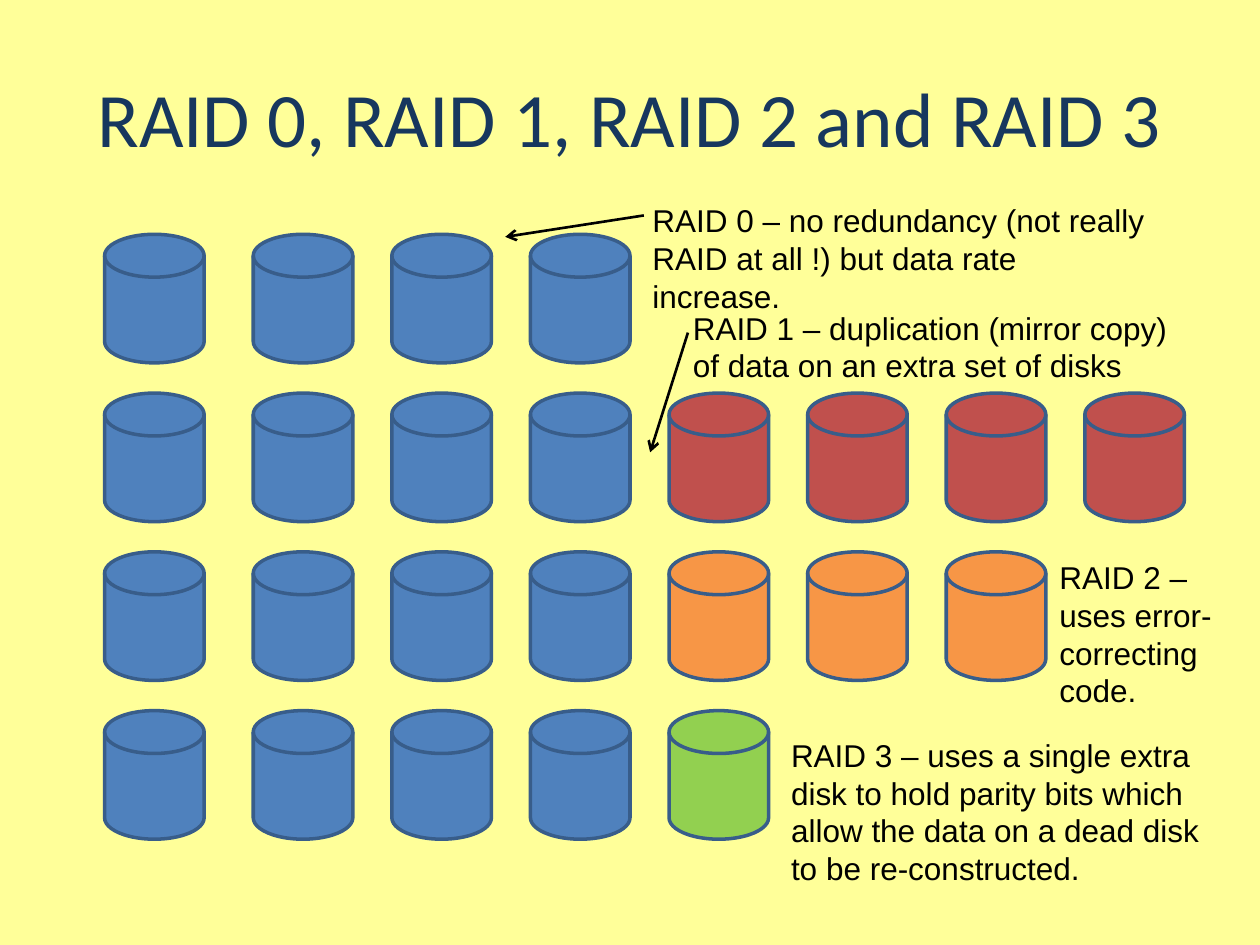
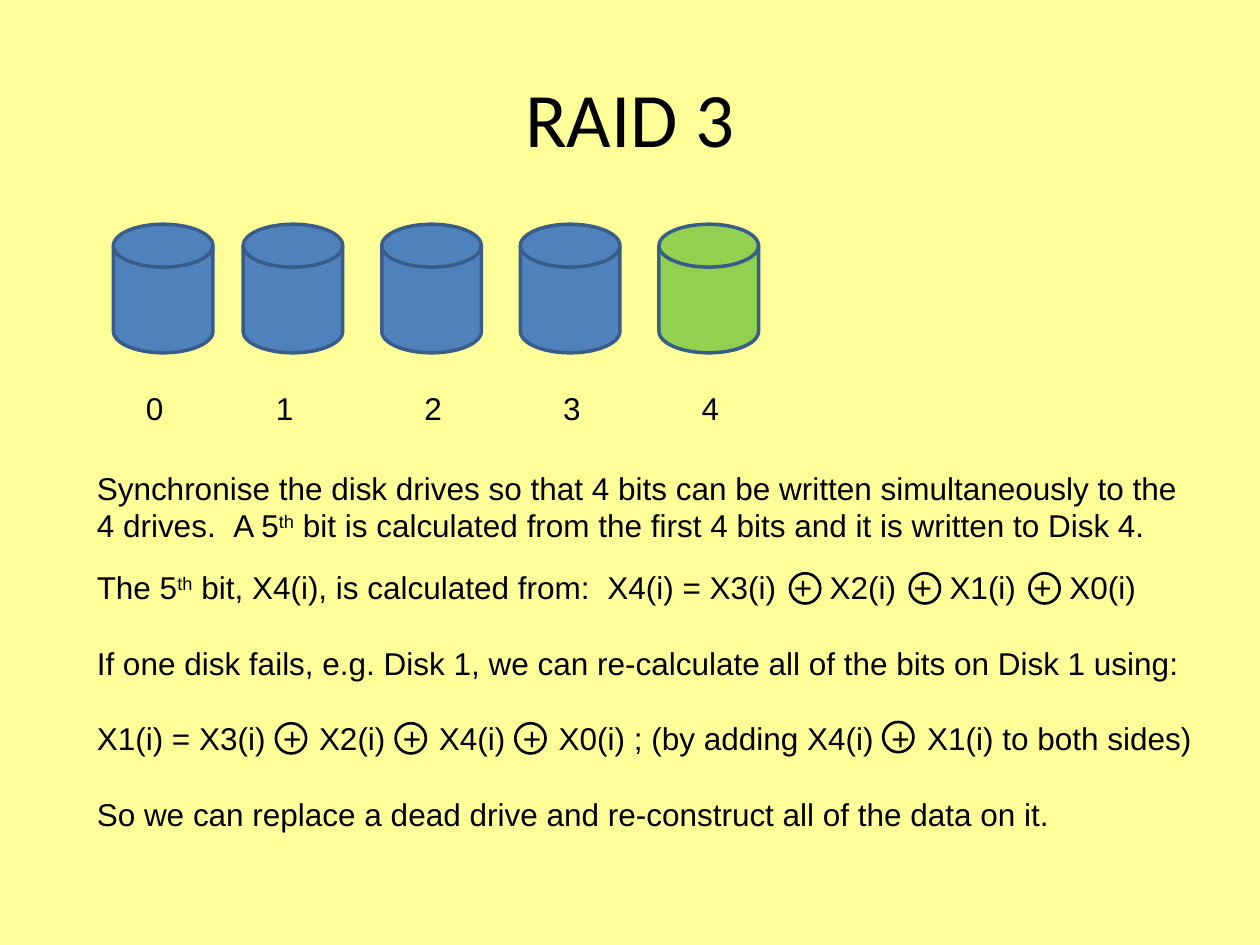
from lxml import etree
from pptx import Presentation, util as u
from pptx.dml.color import RGBColor
from pptx.enum import shapes, text
from pptx.oxml.ns import qn

PAPER, NAVY, BLACK = "FFFF99", "17375E", "000000"
DATA, RIM, MIRROR, ECC, PARITY = "4F81BD", "385D8A", "C0504D", "F79646", "92D050"
LINE_PITCH = 21.6
DISK_STEP, DISK_WIDTH, DISK_HEIGHT = 1.1, 0.79, 1.02


def paint(color_format, hex_color):
    color_format.rgb = RGBColor.from_string(hex_color)


def write(slide, box, paragraphs, size=18, font="Arial", color=BLACK, title=False):
    frame = slide.shapes.add_textbox(*map(u.Inches, box)).text_frame
    frame.word_wrap = True
    if title:
        frame.vertical_anchor = text.MSO_ANCHOR.MIDDLE
    else:
        frame.auto_size = text.MSO_AUTO_SIZE.SHAPE_TO_FIT_TEXT
    for index, content in enumerate(paragraphs):
        paragraph = frame.add_paragraph() if index else frame.paragraphs[0]
        for piece in content.split("|"):
            run = paragraph.add_run()
            run.text = piece.lstrip("^~")
            if piece.startswith("^"):
                run._r.get_or_add_rPr().set("baseline", "30000")
            elif piece.startswith("~"):
                run._r.get_or_add_rPr().set("spc", "500")
        if title:
            paragraph.alignment = text.PP_ALIGN.CENTER
        else:
            paragraph.line_spacing = u.Pt(LINE_PITCH)
            paragraph.space_before = u.Pt(LINE_PITCH if index else 0)
        paragraph.font.size = u.Pt(size)
        paragraph.font.name = font
        paint(paragraph.font.color, color)


deck = Presentation()
deck.slide_width, deck.slide_height = u.Inches(10), u.Inches(7.5)

levels_first, levels_second, levels_top, level_step = 0.83, 2.01, 1.86, 1.26
parity_first, parity_second, parity_top = 0.9, 1.93, 1.78
levels = [[DATA] * 4, [DATA] * 4 + [MIRROR] * 4, [DATA] * 4 + [ECC] * 3, [DATA] * 4 + [PARITY]]
topics = [
    ("RAID 0, RAID 1, RAID 2 and RAID 3", NAVY, levels,
     levels_first, levels_second, levels_top),
    ("RAID 3", BLACK, levels[3:], parity_first, parity_second, parity_top),
]
slides = []
for heading, heading_color, arrays, first, second, top in topics:
    slide = deck.slides.add_slide(deck.slide_layouts[6])
    slides.append(slide)
    slide.background.fill.solid()
    paint(slide.background.fill.fore_color, PAPER)
    write(slide, (0.5, 0.3, 9, 1.25), [heading], 44, "Calibri", heading_color, True)
    for row, disks in enumerate(arrays):
        for column, disk_color in enumerate(disks):
            left = second + (column - 1) * DISK_STEP if column else first
            disk = slide.shapes.add_shape(
                shapes.MSO_SHAPE.FLOWCHART_MAGNETIC_DISK,
                *map(u.Inches, (left, top + row * level_step, DISK_WIDTH, DISK_HEIGHT)))
            disk.shadow.inherit = False
            disk.fill.solid()
            paint(disk.fill.fore_color, disk_color)
            paint(disk.line.color, RIM)
            disk.line.width = u.Pt(2)

overview, parity = slides

for box, explanation in [
    ((5.08, 1.55, 4.17, 0.7),
     "RAID 0 – no redundancy (not really RAID at all !) but data rate increase."),
    ((5.4, 2.4, 4.01, 0.7),
     "RAID 1 – duplication (mirror copy) of data on an extra set of disks"),
    ((8.31, 4.38, 1.5, 1.3), "RAID 2 – uses error-correcting code."),
    ((6.18, 5.79, 3.54, 1.3),
     "RAID 3 – uses a single extra disk to hold parity bits which allow the data "
     "on a dead disk to be re-constructed."),
]:
    write(overview, box, [explanation])

for ends in [(5.46, 2.64, 5.16, 3.59), (5.11, 1.71, 4.01, 1.88)]:
    pointer = overview.shapes.add_connector(shapes.MSO_CONNECTOR.STRAIGHT, *map(u.Inches, ends))
    paint(pointer.line.color, BLACK)
    pointer.line.width = u.Pt(1.5)
    etree.SubElement(pointer.line._get_or_add_ln(), qn("a:tailEnd"), type="arrow")
    etree.SubElement(pointer._element.spPr, qn("a:effectLst"))

for number, label_left in enumerate([1.06, 2.09, 3.27, 4.37, 5.47]):
    write(parity, (label_left, 3.04, 0.39, 0.4), [str(number)])

write(parity, (0.67, 3.67, 8.9, 0.7), [
    "Synchronise the disk drives so that 4 bits can be written simultaneously to the "
    "4 drives.|~ |A 5|^th| bit is calculated from the first 4 bits and it is written to Disk 4."])
write(parity, (0.67, 4.46, 8.9, 2.2), [
    "The 5|^th| bit, X4(i), is calculated from:|~ |"
    "X4(i) = X3(i)|~ +| X2(i)|~ +| X1(i)|~ +| X0(i)",
    "If one disk fails, e.g. Disk 1, we can re-calculate all of the bits on Disk 1 using:",
    "X1(i) = X3(i)|~ +| X2(i)|~ +| X4(i)|~ +| X0(i) ; (by adding X4(i)|~ +| X1(i) to both sides)",
    "So we can replace a dead drive and re-construct all of the data on it.",
])

xor_step, xor_size = 0.95, 0.24
xor_spots = [(start + term * xor_step, top) for start, top in [(6.27, 4.55), (2.19, 5.74)]
             for term in range(3)]
for left, top in xor_spots + [(7.01, 5.73)]:
    xor_ring = parity.shapes.add_shape(
        shapes.MSO_SHAPE.OVAL, *map(u.Inches, (left, top, xor_size, xor_size)))
    xor_ring.shadow.inherit = False
    xor_ring.fill.background()
    paint(xor_ring.line.color, BLACK)
    xor_ring.line.width = u.Pt(1.5)

deck.save("out.pptx")
